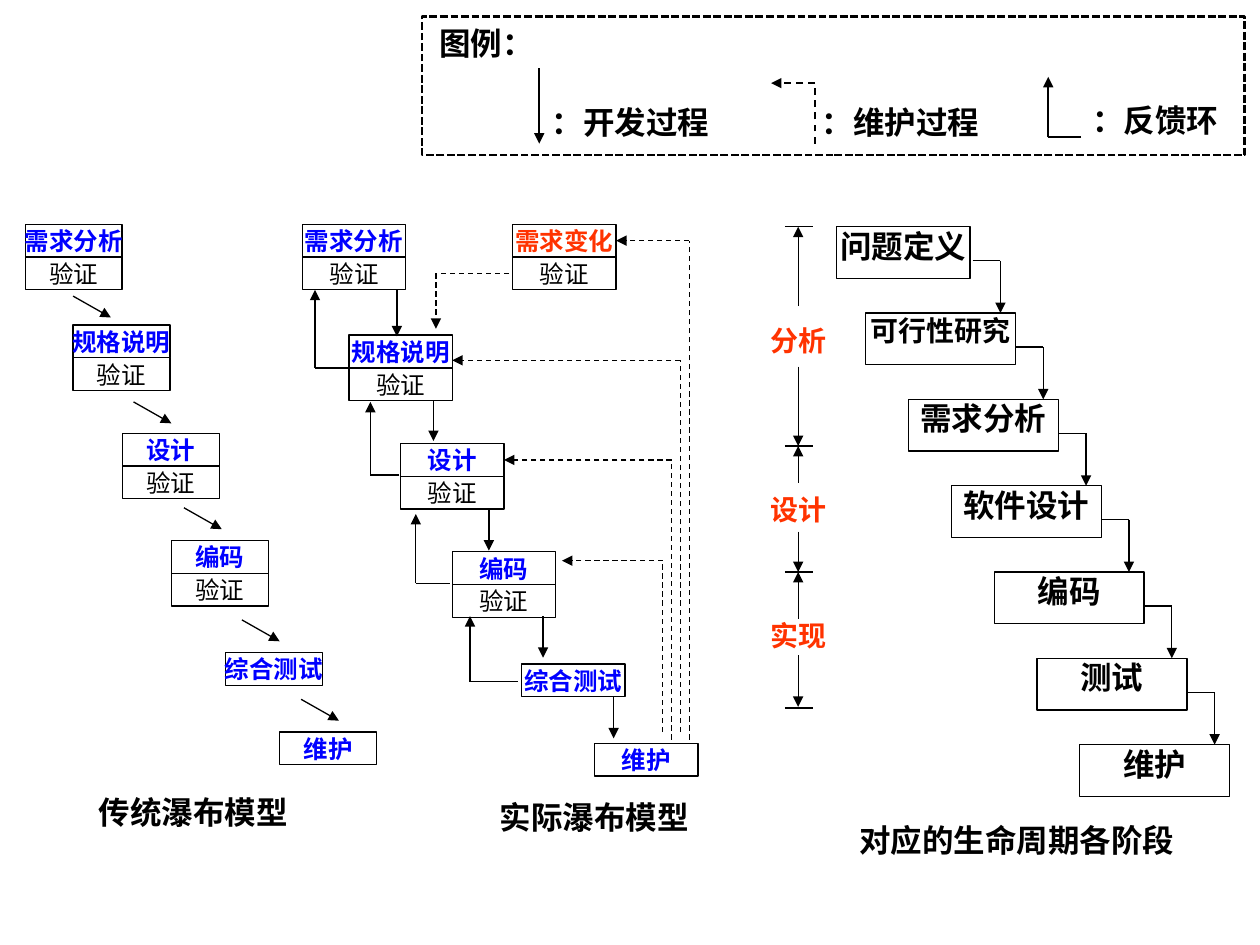
from dataclasses import dataclass
from typing import NamedTuple, Optional

import lxml.etree
import pptx
import pptx.dml.color
import pptx.enum.dml
import pptx.enum.shapes
import pptx.enum.text
import pptx.oxml.ns
import pptx.util

COLUMNS, ROWS = 100, 75
SLIDE_WIDTH, SLIDE_HEIGHT = pptx.util.Inches(10), pptx.util.Inches(7.5)
BLACK, WHITE, BLUE, RED = "000000", "FFFFFF", "0000FF", "FF3300"
SOLID = pptx.enum.dml.MSO_LINE.SOLID
DASH = pptx.enum.dml.MSO_LINE.DASH
SYSTEM_DASH = pptx.enum.dml.MSO_LINE.SQUARE_DOT
CENTER, LEFT = pptx.enum.text.PP_ALIGN.CENTER, pptx.enum.text.PP_ALIGN.LEFT
MIDDLE, TOP = pptx.enum.text.MSO_ANCHOR.MIDDLE, pptx.enum.text.MSO_ANCHOR.TOP
TOP_SIDE, BOTTOM_SIDE, RIGHT_SIDE = 0, 2, 3
STAGE_HEIGHT = 2.6


class Area(NamedTuple):
    column: float
    row: float
    width: float
    height: float


class Joint(NamedTuple):
    shape: object
    side: int


@dataclass
class TextStyle:
    size: float = 18
    font: str = "Arial"
    color: str = BLACK
    bold: bool = True
    alignment: object = CENTER
    anchor: object = TOP
    wrap: bool = True


@dataclass
class Stage:
    name: str
    column: float
    row: float
    verified: bool = True
    color: str = BLUE


@dataclass
class Route:
    points: list
    dash: object = SOLID
    width: float = 0.75
    arrow: bool = True
    begin: Optional[Joint] = None
    end: Optional[Joint] = None


def across(columns: float) -> int:
    return round(SLIDE_WIDTH * columns / COLUMNS)


def down(rows: float) -> int:
    return round(SLIDE_HEIGHT * rows / ROWS)


def rgb(color: str):
    return pptx.dml.color.RGBColor.from_string(color)


def place(area: Area) -> tuple:
    return across(area.column), down(area.row), across(area.width), down(area.height)


def write(shape, text: str, style: TextStyle) -> None:
    frame = shape.text_frame
    frame.margin_left = frame.margin_top = frame.margin_right = frame.margin_bottom = 0
    frame.word_wrap = style.wrap
    frame.vertical_anchor = style.anchor
    paragraph = frame.paragraphs[0]
    paragraph.alignment = style.alignment
    run = paragraph.add_run()
    run.text = text
    run.font.name, run.font.size = style.font, pptx.util.Pt(style.size)
    run.font.bold = style.bold
    run.font.color.rgb = rgb(style.color)


def draw_box(shapes, area: Area, fill: str = "", outline: float = 0.75, dash=SOLID):
    shape = shapes.add_shape(pptx.enum.shapes.MSO_SHAPE.RECTANGLE, *place(area))
    shape.shadow.inherit = False
    if fill:
        shape.fill.solid()
        shape.fill.fore_color.rgb = rgb(fill)
    else:
        shape.fill.background()
    if outline:
        shape.line.color.rgb = rgb(BLACK)
        shape.line.width = pptx.util.Pt(outline)
        shape.line.dash_style = dash
    else:
        shape.line.fill.background()
    return shape


def draw_caption(shapes, area: Area, text: str, style: TextStyle) -> None:
    box = shapes.add_textbox(*place(area))
    write(box, text, style)
    if style.wrap:
        box.text_frame.auto_size = pptx.enum.text.MSO_AUTO_SIZE.SHAPE_TO_FIT_TEXT


def draw_route(shapes, route: Route) -> None:
    connectors = []
    for start, stop in zip(route.points, route.points[1:]):
        connector = shapes.add_connector(
            pptx.enum.shapes.MSO_CONNECTOR.STRAIGHT,
            across(start[0]), down(start[1]), across(stop[0]), down(stop[1]))
        connector.line.color.rgb = rgb(BLACK)
        connector.line.width = pptx.util.Pt(route.width)
        connector.line.dash_style = route.dash
        properties = connector._element.spPr
        lxml.etree.SubElement(properties, pptx.oxml.ns.qn("a:effectLst"))
        connectors.append(connector)
    if route.arrow:
        line = connectors[-1].line._get_or_add_ln()
        lxml.etree.SubElement(line, pptx.oxml.ns.qn("a:tailEnd"), type="triangle")
    if route.begin:
        connectors[0].begin_connect(*route.begin)
    if route.end:
        connectors[-1].end_connect(*route.end)


def draw_stage(shapes, stage: Stage, width: float):
    labels = [(stage.name, stage.color, True)]
    if stage.verified:
        labels.append(("验证", BLACK, False))
    boxes = []
    for index, (text, color, bold) in enumerate(labels):
        row = stage.row + index * STAGE_HEIGHT
        box = draw_box(shapes, Area(stage.column, row, width, STAGE_HEIGHT))
        write(box, text, TextStyle(14, color=color, bold=bold, anchor=MIDDLE, wrap=False))
        boxes.append(box)
    return boxes[0]


def draw_legend(shapes) -> None:
    draw_box(shapes, Area(33.5, 1.3, 65.3, 11), outline=1.5, dash=SYSTEM_DASH)
    draw_caption(shapes, Area(34.4, 1.3, 8.4, 4.2), "图例：",
                 TextStyle(font="Lato", anchor=MIDDLE, wrap=False))
    for text, column, row, width in [("：开发过程", 43.8, 8.2, 14.1),
                                     ("：维护过程", 65.2, 8.2, 13.1),
                                     ("：反馈环", 86.7, 8, 10.6)]:
        draw_caption(shapes, Area(column, row, width, 3), text, TextStyle(alignment=LEFT))
    for points, dash in [([(42.8, 5.4), (42.8, 11.4)], SOLID),
                         ([(64.7, 11.4), (64.7, 6.6), (61.2, 6.6)], DASH),
                         ([(85.8, 10.9), (83.2, 10.9), (83.2, 6.1)], SOLID)]:
        draw_route(shapes, Route(points, dash, width=1))


def draw_traditional_model(shapes) -> None:
    for stage in [Stage("需求分析", 2, 17.8), Stage("规格说明", 5.8, 25.8),
                  Stage("设计", 9.7, 34.4), Stage("编码", 13.6, 42.9),
                  Stage("综合测试", 17.9, 51.8, False), Stage("维护", 22.2, 58.1, False)]:
        draw_stage(shapes, stage, 7.7)
    for column, row in [(5.8, 23.5), (10.6, 31.9), (14.6, 40.3), (19.2, 49.2), (23.9, 55.5)]:
        draw_route(shapes, Route([(column, row), (column + 3, row + 1.7)]))
    draw_caption(shapes, Area(5.3, 62.9, 20.1, 3), "传统瀑布模型", TextStyle())


def draw_actual_model(shapes) -> None:
    stages = [Stage("需求分析", 24, 17.8), Stage("规格说明", 27.7, 26.6),
              Stage("设计", 31.8, 35.2), Stage("编码", 35.9, 43.8),
              Stage("综合测试", 41.4, 52.7, False), Stage("维护", 47.2, 59, False),
              Stage("需求变化", 40.7, 17.8, color=RED)]
    boxes = {stage.name: draw_stage(shapes, stage, 8.2) for stage in stages}
    for column, start, stop in [(31.5, 23, 26.7), (34.4, 31.8, 35), (38.8, 40.5, 43.7),
                                (43.1, 48.9, 52.2), (48.7, 55.3, 58.6)]:
        draw_route(shapes, Route([(column, start), (column, stop)]))
    for start, turn, row, stop in [(41.1, 37.3, 54.1, 48.9), (35.7, 33, 46.3, 40.8),
                                   (31.7, 29.4, 37.7, 31.9), (27.8, 25, 29.2, 23)]:
        draw_route(shapes, Route([(start, row), (turn, row), (turn, stop)]))
    for turn, bottom, row, stop, target in [(54.7, 58.7, 19.1, 48.9, "需求变化"),
                                            (54, 58.1, 28.6, 35.9, None),
                                            (53.3, 58.7, 36.5, 40, "设计"),
                                            (52.6, 58.1, 44.5, 44.6, None)]:
        joint = Joint(boxes[target], RIGHT_SIDE) if target else None
        draw_route(shapes, Route([(turn, bottom), (turn, row), (stop, row)], DASH, end=joint))
    draw_route(shapes, Route([(40.4, 21.7), (34.6, 21.7), (34.6, 26.1)], DASH))
    draw_caption(shapes, Area(37.2, 63.3, 19.9, 3), "实际瀑布模型", TextStyle())


def draw_life_cycle(shapes) -> None:
    names = ["问题定义", "可行性研究", "需求分析", "软件设计", "编码", "测试", "维护"]
    step_across, step_down = 3.4, 6.85
    for index, name in enumerate(names):
        shift, row = index * step_across, 18 + index * step_down
        area = Area(65.3 + shift, row, 11.9, 4.1) if index else Area(66.4, row, 10.6, 4.1)
        size = 16 if len(name) > 4 else 18
        write(draw_box(shapes, area, WHITE), name, TextStyle(size, "Times New Roman"))
        if index < len(names) - 1:
            turn = 79.4 + shift
            draw_route(shapes, Route([(77.2 + shift, row + 2.7), (turn, row + 2.7),
                                      (turn, row + step_down)]))

    phases = {}
    for name, row, height in [("分析", 25.7, 2.9), ("设计", 39.1, 2.1), ("实现", 49.1, 2.9)]:
        phases[name] = draw_box(shapes, Area(61, row, 4.7, height), WHITE, outline=0)
        write(phases[name], name, TextStyle(16, "Times New Roman", RED))
    for row in (18, 35.4, 45.4, 56.2):
        draw_route(shapes, Route([(62.3, row), (64.5, row)], arrow=False))
    coding = phases["实现"]
    for start, stop, joint in [(24.3, 18, None), (29.1, 35.4, None),
                               (38.3, 35.4, None), (42.2, 45.4, None),
                               (49.1, 45.4, Joint(coding, TOP_SIDE)),
                               (52, 56.1, Joint(coding, BOTTOM_SIDE))]:
        draw_route(shapes, Route([(63.35, start), (63.35, stop)], begin=joint))
    draw_caption(shapes, Area(67.3, 65.2, 26.8, 3), "对应的生命周期各阶段", TextStyle())


def main() -> None:
    presentation = pptx.Presentation()
    presentation.slide_width, presentation.slide_height = SLIDE_WIDTH, SLIDE_HEIGHT
    slide = presentation.slides.add_slide(presentation.slide_layouts[6])
    for draw in (draw_actual_model, draw_legend, draw_life_cycle, draw_traditional_model):
        draw(slide.shapes.add_group_shape().shapes)
    presentation.save("out.pptx")


if __name__ == "__main__":
    main()
